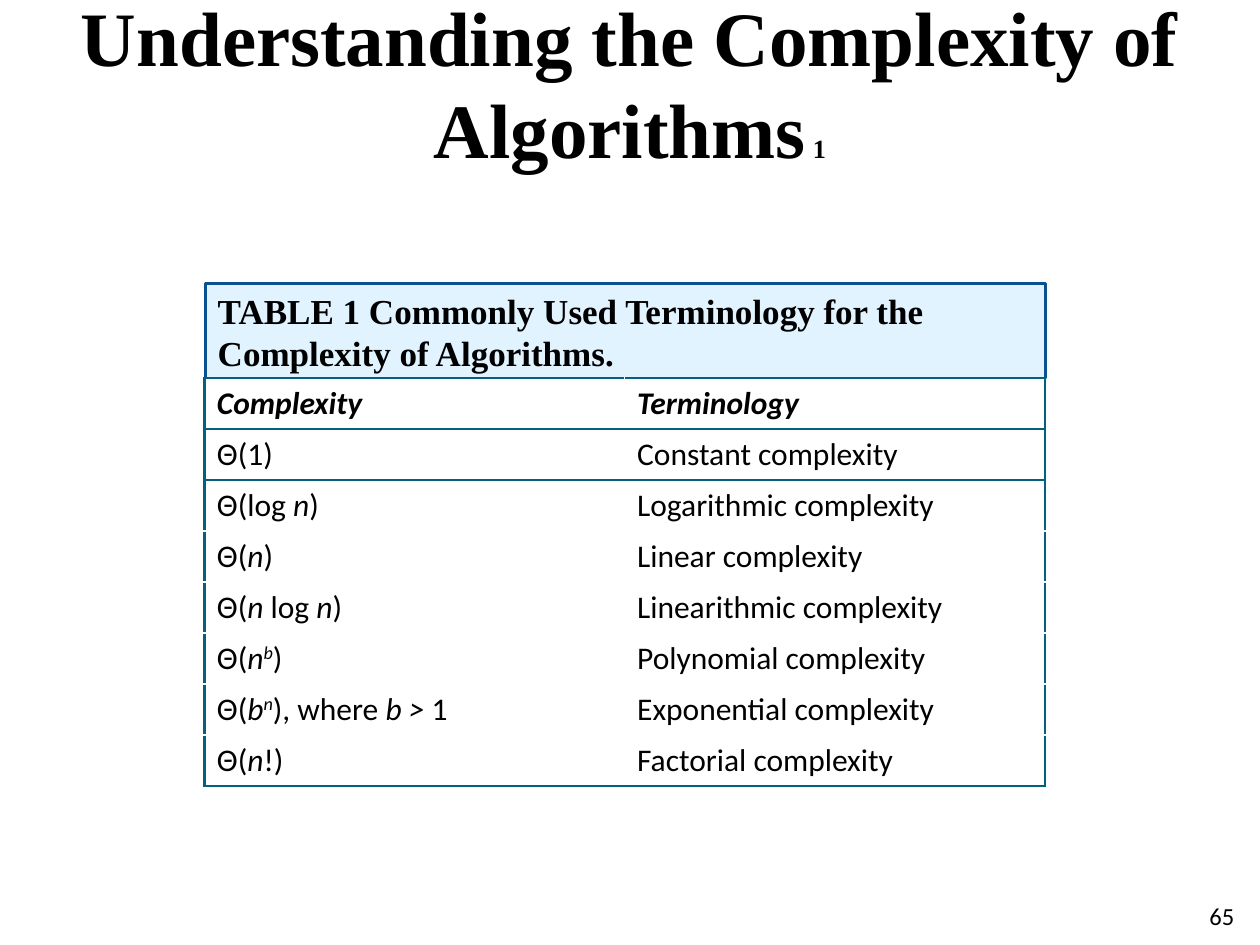
from lxml.etree import SubElement
from pptx import Presentation
from pptx.dml.color import RGBColor as Rgb
from pptx.enum.shapes import MSO_SHAPE as Shape
from pptx.enum.text import MSO_ANCHOR as Anchor, PP_ALIGN as Align
from pptx.oxml.ns import qn
from pptx.util import Cm, Pt

HEX = {"ink": "000000", "paper": "FFFFFF", "pale": "E1F3FF",
       "blue": "0B508F", "teal": "04617B"}
SERIF, SANS = "Times New Roman", "Calibri"
HEAD = ("Complexity", "Terminology")
# Every second part between bars is italic; ^ starts a superscript.
ROWS = [
    ("Θ(1)", "Constant complexity"),
    ("Θ(log |n|)", "Logarithmic complexity"),
    ("Θ(|n|)", "Linear complexity"),
    ("Θ(|n |log |n|)", "Linearithmic complexity"),
    ("Θ(|n^b|)", "Polynomial complexity"),
    ("Θ(|b^n|), where |b > |1", "Exponential complexity"),
    ("Θ(|n|!)", "Factorial complexity"),
]


def color(name):
    return Rgb.from_string(HEX[name])


def style(font, size, face, bold=False):
    font.size, font.name, font.bold = Pt(size), face, bold
    font.color.rgb = color("ink")


def add_text(slide, text, box, size, face, bold=False):
    frame = slide.shapes.add_textbox(*map(Cm, box)).text_frame
    frame.word_wrap = True
    par = frame.paragraphs[0]
    par.add_run().text = text
    style(par.font, size, face, bold)
    return frame


def add_title(slide):
    frame = add_text(slide, "Understanding the Complexity of Algorithms",
                     (0, 0, 25.4, 3.3), 44, SERIF, True)
    frame.vertical_anchor = Anchor.MIDDLE
    par = frame.paragraphs[0]
    par.alignment = Align.CENTER
    run = par.add_run()
    run.text = " 1"
    run.font.size = Pt(15)


def add_banner(slide, text):
    box = slide.shapes.add_shape(Shape.RECTANGLE, Cm(4.14), Cm(5.72),
                                 Cm(16.94), Cm(1.9))
    box.shadow.inherit = False
    box.fill.solid()
    box.fill.fore_color.rgb = color("pale")
    box.line.color.rgb = color("blue")
    box.line.width = Pt(1.5)
    frame = box.text_frame
    frame.word_wrap = True
    frame.vertical_anchor = Anchor.TOP
    par = frame.paragraphs[0]
    par.text = text
    par.alignment = Align.LEFT
    par.space_before, par.space_after = Pt(12), Pt(6)
    style(par.font, 20, SERIF, True)


def add_math(par, text):
    """Write the parts of a formula as upright, italic and raised runs."""
    for i, part in enumerate(text.split("|")):
        base, _, power = part.partition("^")
        for word, raised in ((base, False), (power, True)):
            if word:
                run = par.add_run()
                run.text = word
                if i % 2:
                    run.font.italic = True
                if raised:
                    run.font._element.set("baseline", "30000")


def set_edges(cell, dark):
    """Draw the sides named in dark in teal, the others in white."""
    props = cell._tc.get_or_add_tcPr()
    for i, side in enumerate("LRTB"):
        name, width = ("teal", 1.5) if side in dark else ("paper", 1)
        line = SubElement(props, qn(f"a:ln{side}"), w=str(Pt(width)))
        fill = SubElement(line, qn("a:solidFill"))
        SubElement(fill, qn("a:srgbClr"), val=HEX[name])
        props.insert(i, line)


def add_grid(slide):
    rows = [HEAD] + ROWS
    grid = slide.shapes.add_table(len(rows), 2, Cm(4.12), Cm(7.62),
                                  Cm(16.94), Cm(8.23)).table
    last = len(rows) - 1
    for i, row in enumerate(rows):
        for j, text in enumerate(row):
            cell = grid.cell(i, j)
            cell.fill.solid()
            cell.fill.fore_color.rgb = color("paper")
            par = cell.text_frame.paragraphs[0]
            add_math(par, text)
            style(par.font, 18, SANS, i == 0)
            if i == 0:
                par.font.italic = True
            dark = "LR"[j]
            if i <= 2:
                dark += "T"
            if i in (0, 1, last):
                dark += "B"
            set_edges(cell, dark)


def main():
    deck = Presentation()
    deck.slide_width, deck.slide_height = Cm(25.4), Cm(19.05)
    slide = deck.slides.add_slide(deck.slide_layouts[6])
    add_text(slide, "65", (24.13, 18.03, 1.47, 0.86), 14, SANS)
    add_title(slide)
    add_banner(slide, "TABLE 1 Commonly Used Terminology for the "
                      "Complexity of Algorithms.")
    add_grid(slide)
    deck.save("out.pptx")


if __name__ == "__main__":
    main()
